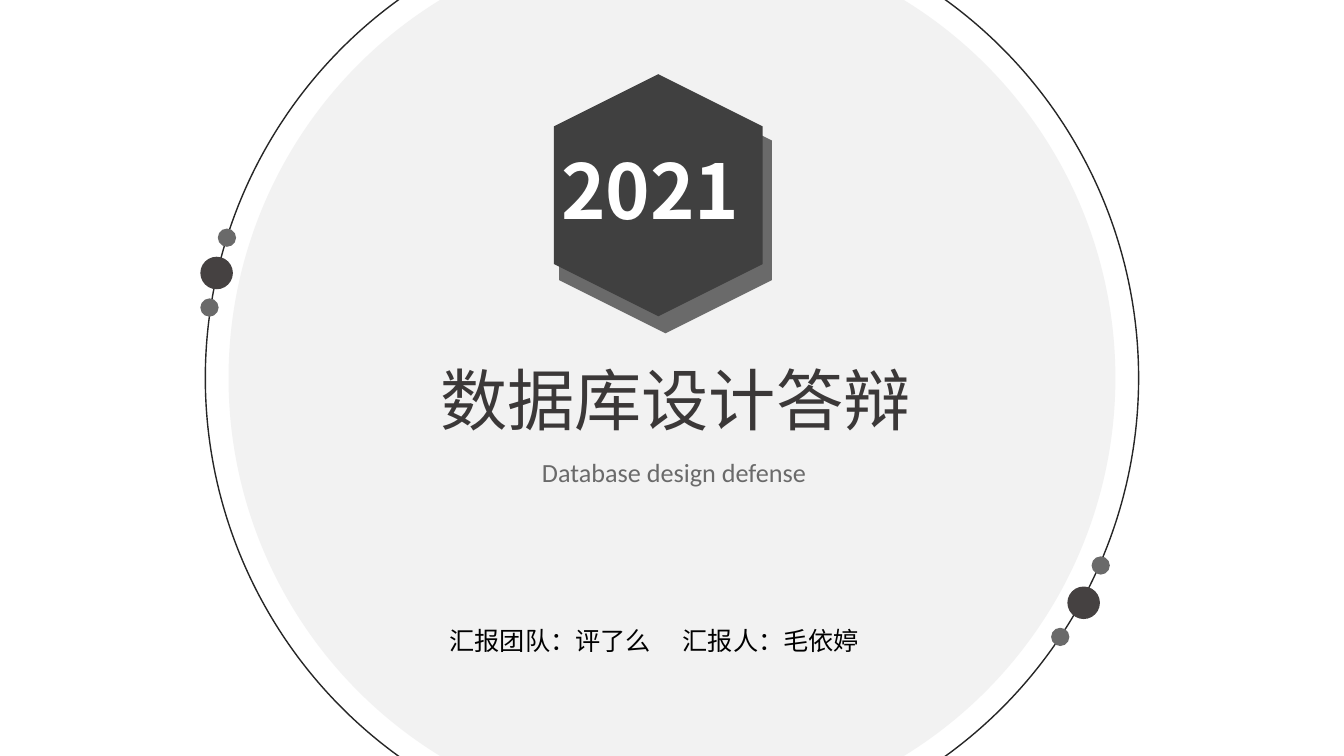
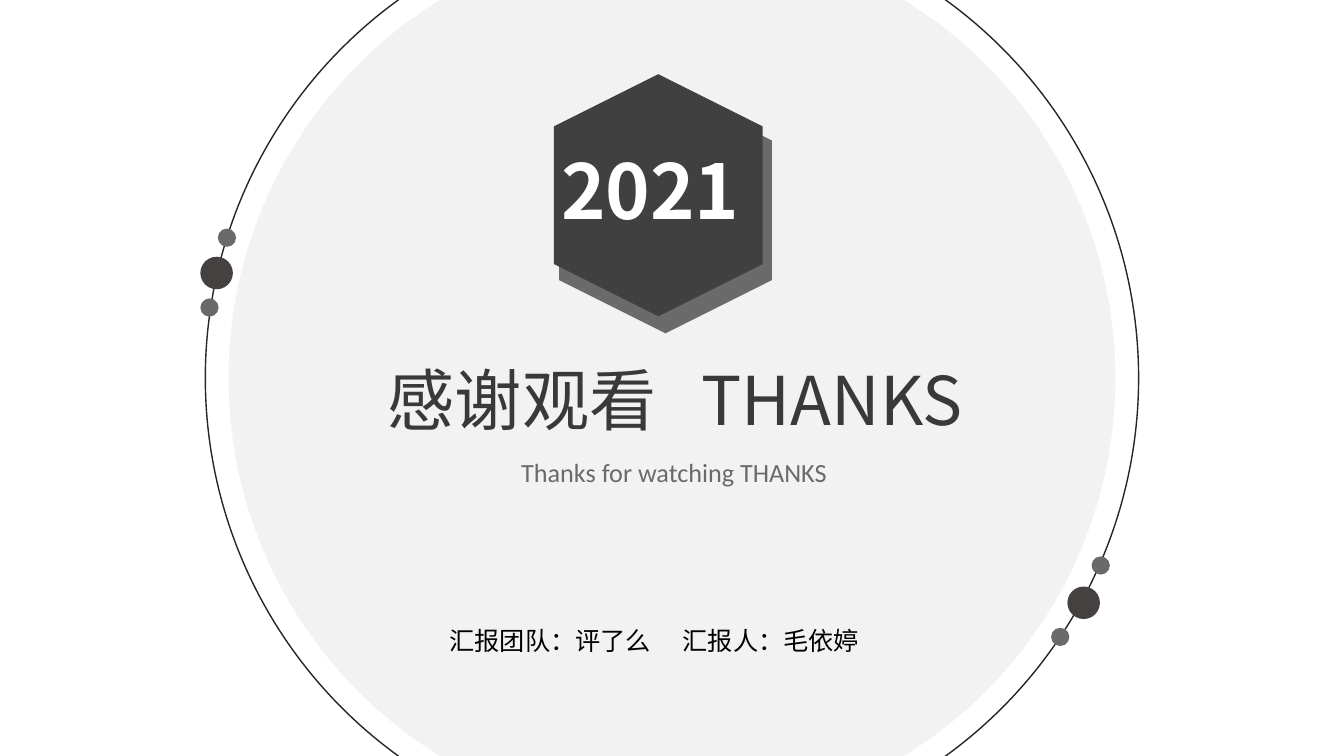
from lxml.etree import SubElement
from pptx import Presentation
from pptx.dml.color import RGBColor
from pptx.enum.shapes import MSO_SHAPE
from pptx.enum.text import MSO_ANCHOR, MSO_AUTO_SIZE, PP_ALIGN
from pptx.oxml.ns import qn
from pptx.util import Cm, Pt

WIDTH, HEIGHT = 33.87, 19.05
CHINESE = "Noto Sans CJK SC"
JAPANESE = "Noto Sans CJK JP"
LATIN = "Calibri"

DISC, RING = "F2F2F2", "262626"
GREY, DARK_DOT, HEXAGON = "6A6A6A", "454141", "404040"
TITLE, WHITE, BLACK = "3B3838", "FFFFFF", "000000"

SMALL, LARGE = 0.46, 0.82
DOTS = [
    (5.72, 5.99, SMALL, GREY),
    (5.46, 6.88, LARGE, DARK_DOT),
    (5.28, 7.75, SMALL, GREY),
    (27.74, 14.25, SMALL, GREY),
    (27.31, 15.19, LARGE, DARK_DOT),
    (26.72, 16.05, SMALL, GREY),
]


def color(value):
    return RGBColor.from_string(value)


def add_shape(slide, preset, left, top, width, height, fill=None, line=None):
    shape = slide.shapes.add_shape(preset, Cm(left), Cm(top), Cm(width), Cm(height))
    shape.shadow.inherit = False
    if fill:
        shape.fill.solid()
        shape.fill.fore_color.rgb = color(fill)
    else:
        shape.fill.background()
    if line:
        shape.line.color.rgb = color(line)
        shape.line.width = Pt(1)
    else:
        shape.line.fill.background()
    return shape


def add_circle(slide, center_x, center_y, diameter, fill=None, line=None):
    add_shape(slide, MSO_SHAPE.OVAL, center_x - diameter / 2, center_y - diameter / 2,
              diameter, diameter, fill, line)


def add_hexagon(slide, left, top, width, height, fill):
    """Add a hexagon turned to stand on a corner; the frame is unrotated."""
    add_shape(slide, MSO_SHAPE.HEXAGON, left, top, width, height, fill).rotation = 90


def format_paragraph(para, size, font_name, font_color, align, bold=False):
    para.alignment = align
    font = para.font
    font.size = Pt(size)
    font.bold = bold
    font.color.rgb = color(font_color)
    font.name = font_name
    SubElement(font._element, qn("a:ea")).set("typeface", font_name)


def add_text(slide, text, left, top, width, height, size, font_name, font_color,
             align=PP_ALIGN.CENTER, bold=False, wrap=True):
    box = slide.shapes.add_textbox(Cm(left), Cm(top), Cm(width), Cm(height))
    frame = box.text_frame
    frame.word_wrap = wrap
    frame.auto_size = MSO_AUTO_SIZE.SHAPE_TO_FIT_TEXT
    frame.text = text
    format_paragraph(frame.paragraphs[0], size, font_name, font_color, align, bold)


def set_title(slide, words, font_name):
    """Fill the title; several words are parted by one widened space."""
    title = slide.shapes.title
    title.left, title.top, title.width, title.height = Cm(8.13), Cm(8.89), Cm(17.78), Cm(2.31)
    slide.shapes._spTree.append(title._element)
    frame = title.text_frame
    frame.word_wrap = False
    frame.auto_size = MSO_AUTO_SIZE.SHAPE_TO_FIT_TEXT
    frame.vertical_anchor = MSO_ANCHOR.TOP
    para = frame.paragraphs[0]
    format_paragraph(para, 48, font_name, TITLE, PP_ALIGN.CENTER)
    for number, word in enumerate(words):
        if number:
            space = para.add_run()
            space.text = " "
            space._r.get_or_add_rPr().set("spc", "2150")
        para.add_run().text = word


def add_backdrop(slide):
    add_circle(slide, WIDTH / 2, HEIGHT / 2, 22.35, fill=DISC)
    add_circle(slide, WIDTH / 2, HEIGHT / 2, 23.52, line=RING)
    for center_x, center_y, diameter, fill in DOTS:
        add_circle(slide, center_x, center_y, diameter, fill)


def add_year_badge(slide):
    add_hexagon(slide, 13.67, 2.62, 6.2, 5.36, GREY)
    add_hexagon(slide, 13.54, 2.29, 6.1, 5.26, HEXAGON)
    add_text(slide, "2021", 13.89, 3.51, 5.26, 2.57, 54, CHINESE, WHITE,
             PP_ALIGN.LEFT, bold=True, wrap=False)


def add_cover(deck, title_words, title_font, subtitle):
    slide = deck.slides.add_slide(deck.slide_layouts[5])
    add_backdrop(slide)
    add_year_badge(slide)
    set_title(slide, title_words, title_font)
    add_text(slide, subtitle, 6.05, 11.38, 21.87, 1.07, 18.7, LATIN, GREY)
    for left, credit in [(8.56, "汇报团队：评了么"), (14.12, "汇报人：毛依婷")]:
        add_text(slide, credit, left, 15.62, 10.62, 1.02, 18, CHINESE, BLACK)


def main():
    deck = Presentation()
    deck.slide_width, deck.slide_height = Cm(WIDTH), Cm(HEIGHT)
    add_cover(deck, ["数据库设计答辩"], CHINESE, "Database design defense")
    add_cover(deck, ["感谢观看", "THANKS"], JAPANESE, "Thanks for watching THANKS")
    deck.save("out.pptx")


if __name__ == "__main__":
    main()
